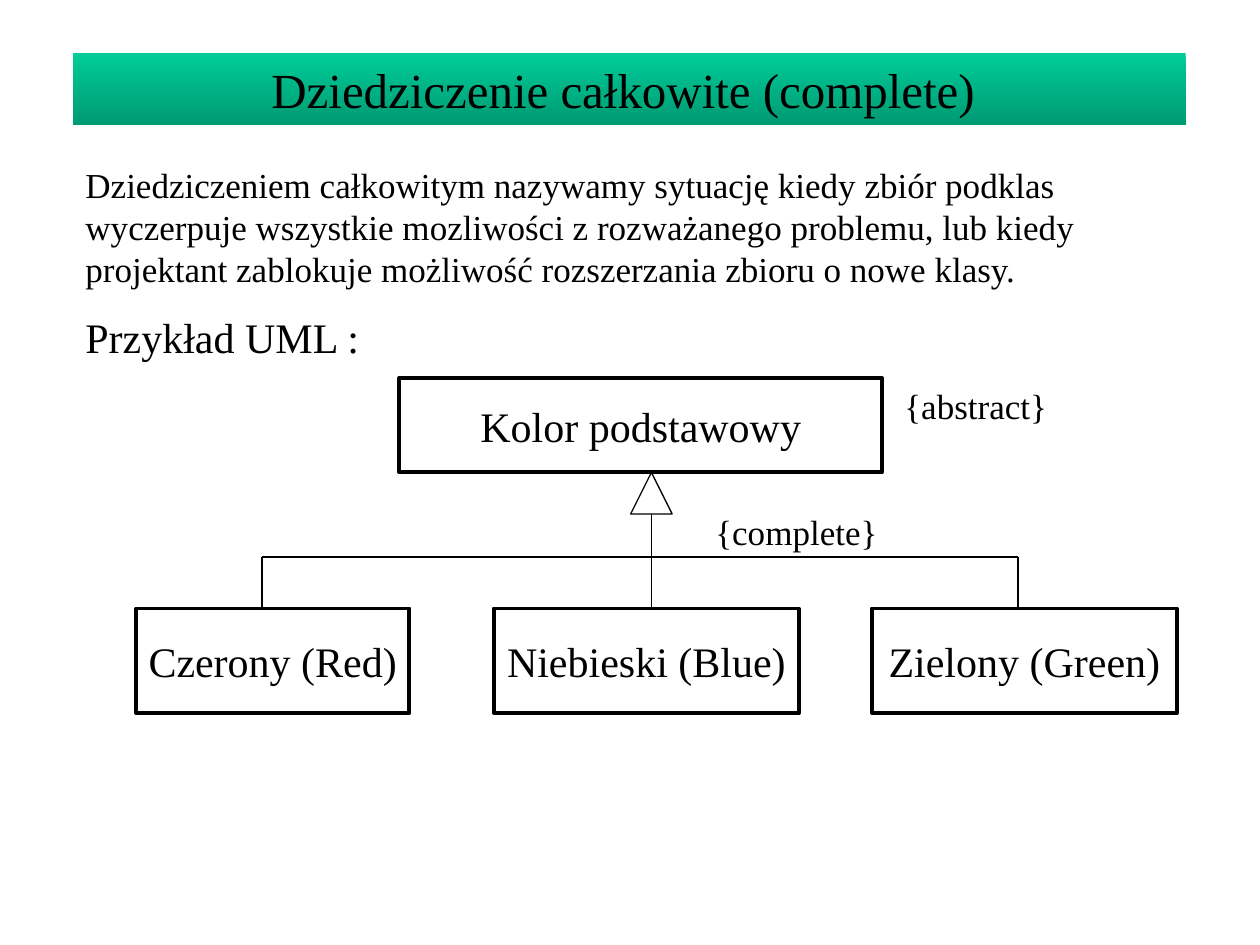
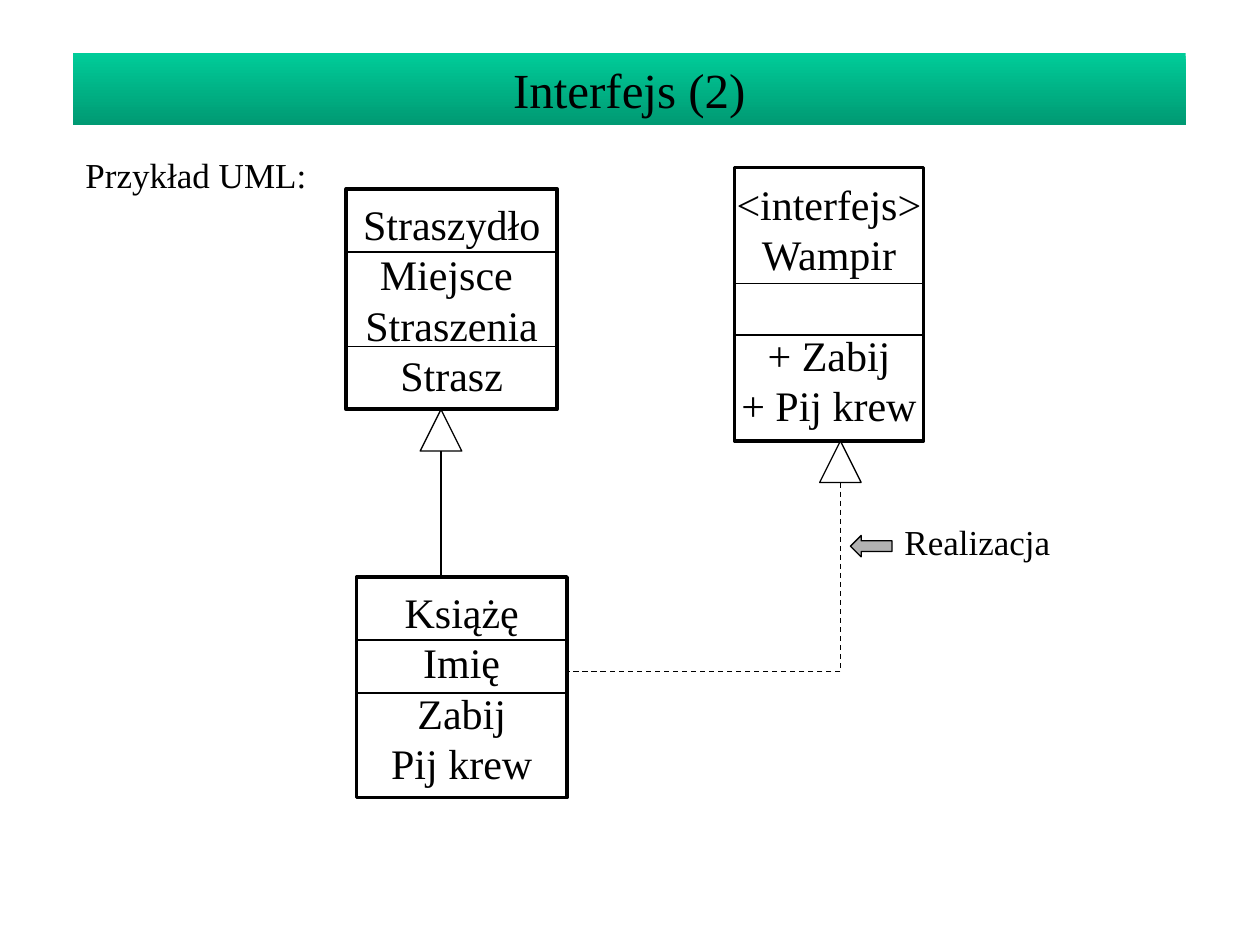
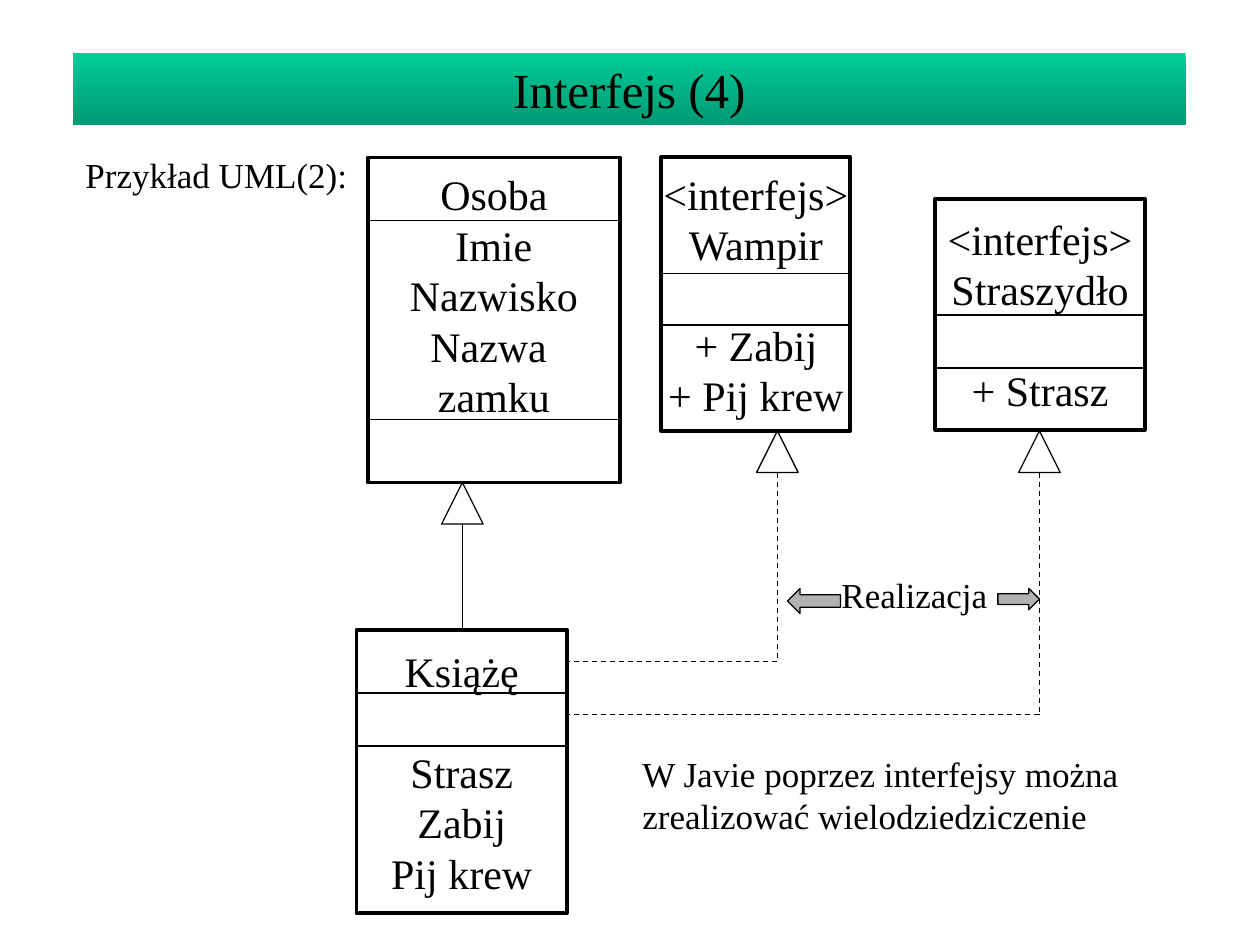
from itertools import pairwise

from pptx import Presentation
from pptx.dml.color import RGBColor
from pptx.enum.dml import MSO_LINE
from pptx.enum.shapes import MSO_CONNECTOR, MSO_SHAPE as Shape
from pptx.enum.text import MSO_ANCHOR, PP_ALIGN as Align
from pptx.oxml.ns import qn
from pptx.util import Inches, Pt
from lxml.etree import SubElement

BLACK = RGBColor(0x00, 0x00, 0x00)
WHITE = RGBColor(0xFF, 0xFF, 0xFF)
GREY = RGBColor(0xB2, 0xB2, 0xB2)
GREEN = RGBColor(0x00, 0xCC, 0x99)
DARK = RGBColor(0x00, 0x9A, 0x73)
FONT = "Times New Roman"
ROW = 0.4  # height of one empty row in a class box
TIP = 0.33  # side of an inheritance arrowhead


# Basic elements
def style(para, size, align=Align.LEFT):
    para.alignment = align
    para.font.name = FONT
    para.font.size = Pt(size)
    para.font.color.rgb = BLACK


def add_form(slide, kind, x, y, w, h, fill=WHITE, width=0.75):
    form = slide.shapes.add_shape(kind, Inches(x), Inches(y), Inches(w), Inches(h))
    form.shadow.inherit = False
    form.fill.solid()
    form.fill.fore_color.rgb = fill
    form.line.color.rgb = BLACK
    form.line.width = Pt(width)
    return form


def add_line(slide, start, end, dash=False):
    ends = [Inches(v) for v in (*start, *end)]
    line = slide.shapes.add_connector(MSO_CONNECTOR.STRAIGHT, *ends)
    line.line.color.rgb = BLACK
    line.line.width = Pt(0.75)
    if dash:
        line.line.dash_style = MSO_LINE.DASH
    SubElement(line._element.spPr, qn("a:effectLst"))


def add_note(slide, text, x, y, w, h=0.44, size=20):
    note = slide.shapes.add_textbox(Inches(x), Inches(y), Inches(w), Inches(h))
    frame = note.text_frame
    frame.word_wrap = True
    frame.text = text
    style(frame.paragraphs[0], size)


# UML elements
def add_class(slide, x, y, w, h, parts, rules=()):
    """Draw a class box; an empty part leaves one empty row."""
    frame = add_form(slide, Shape.RECTANGLE, x, y, w, h, width=2.25).text_frame
    frame.word_wrap = False
    frame.vertical_anchor = MSO_ANCHOR.MIDDLE
    para, gap = None, 0
    for part in parts:
        if not part:
            gap += ROW
        for text in part:
            para = frame.add_paragraph() if para else frame.paragraphs[0]
            para.text = text
            style(para, 24, Align.CENTER)
            if gap:
                para.space_before = Inches(gap)
                gap = 0
    frame.margin_bottom = Inches(0.05 + gap)
    for rule in rules:
        add_line(slide, (x, rule), (x + w, rule))


def add_parent(slide, x, y, *route, dash=False):
    """Draw an arrowhead with its tip at x, y and a line along the route."""
    add_form(slide, Shape.ISOSCELES_TRIANGLE, x - TIP / 2, y, TIP, TIP)
    for start, end in pairwise([(x, y + TIP), *route]):
        add_line(slide, start, end, dash)


def add_slide(deck, title):
    slide = deck.slides.add_slide(deck.slide_layouts[6])
    band = add_form(slide, Shape.RECTANGLE, 0.58, 0.42, 8.83, 0.57)
    band.line.fill.background()
    band.fill.gradient()
    band.fill.gradient_angle = 270
    for stop, color in zip(band.fill.gradient_stops, (GREEN, DARK)):
        stop.color.rgb = color
    frame = band.text_frame
    frame.word_wrap = True
    frame.vertical_anchor = MSO_ANCHOR.TOP
    frame.text = title
    style(frame.paragraphs[0], 28, Align.CENTER)
    return slide


# Slides
def draw_complete(deck):
    slide = add_slide(deck, "Dziedziczenie całkowite (complete) ")
    add_note(slide, "Dziedziczeniem całkowitym nazywamy sytuację kiedy zbiór podklas "
             "wyczerpuje wszystkie mozliwości z rozważanego problemu, lub kiedy "
             "projektant zablokuje możliwość rozszerzania zbioru o nowe klasy.",
             0.58, 1.25, 8.83, 1.1)
    add_note(slide, "Przykład UML :", 0.58, 2.42, 5.17, 0.5, 24)
    add_class(slide, 3.17, 3, 3.83, 0.75, [["Kolor podstawowy"]])

    bus, top = 4.42, 4.83
    colors = [
        ("Czerony (Red)", 1.08, 2.17, 2.08),
        ("Niebieski (Blue)", 3.92, 2.42, 5.17),
        ("Zielony (Green)", 6.92, 2.42, 8.08),
    ]
    for name, left, width, stem in colors:
        add_class(slide, left, top, width, 0.83, [[name]])
        add_line(slide, (stem, bus), (stem, top))
    add_line(slide, (2.08, bus), (8.08, bus))
    add_parent(slide, 5.17, 3.75, (5.17, bus))
    add_note(slide, "{complete}", 5.58, 4, 2.17)
    add_note(slide, "{abstract}", 7.08, 3, 2.08)


def add_vampire(slide, x, y):
    parts = [["<interfejs>", "Wampir"], [], ["+ Zabij", "+ Pij krew"]]
    add_class(slide, x, y, 1.5, 2.17, parts, (y + 0.92, y + 1.33))


def draw_single(deck):
    slide = add_slide(deck, "Interfejs (2)")
    add_note(slide, "Przykład UML:", 0.58, 1.17, 2.33)
    add_vampire(slide, 5.83, 1.33)
    add_class(slide, 2.75, 1.5, 1.67, 1.75,
              [["Straszydło"], ["Miejsce ", "Straszenia"], ["Strasz"]], (2, 2.75))
    add_class(slide, 2.83, 4.58, 1.67, 1.75,
              [["Książę"], ["Imię"], ["Zabij", "Pij krew"]], (5.08, 5.5))
    add_parent(slide, 3.5, 3.25, (3.5, 4.58))
    add_parent(slide, 6.67, 3.5, (6.67, 5.33), (4.5, 5.33), dash=True)
    add_note(slide, "Realizacja", 7.08, 4.08, 2)
    add_form(slide, Shape.LEFT_ARROW, 6.75, 4.25, 0.33, 0.17, GREY)


def draw_multiple(deck):
    slide = add_slide(deck, "Interfejs (4)")
    add_note(slide, "Przykład UML(2):", 0.58, 1.17, 2.33)
    add_vampire(slide, 5.25, 1.25)
    add_class(slide, 7.42, 1.58, 1.67, 1.83,
              [["<interfejs>", "Straszydło"], [], ["+ Strasz"]], (2.5, 2.92))
    add_class(slide, 2.83, 5, 1.67, 2.25,
              [["Książę"], [], ["Strasz", "Zabij", "Pij krew"]], (5.5, 5.92))
    add_class(slide, 2.92, 1.25, 2, 2.58,
              [["Osoba"], ["Imie", "Nazwisko", "Nazwa ", "zamku"], []], (1.75, 3.33))
    add_parent(slide, 3.67, 3.83, (3.67, 5))
    add_parent(slide, 6.17, 3.42, (6.17, 5.25), (4.5, 5.25), dash=True)
    add_parent(slide, 8.25, 3.42, (8.25, 5.67), (4.5, 5.67), dash=True)
    add_note(slide, "Realizacja", 6.58, 4.5, 2)
    add_form(slide, Shape.LEFT_ARROW, 6.25, 4.67, 0.42, 0.2, GREY)
    add_form(slide, Shape.RIGHT_ARROW, 7.92, 4.67, 0.33, 0.17, GREY)
    add_note(slide, "W Javie poprzez interfejsy można zrealizować wielodziedziczenie",
             5, 5.92, 4.17, 0.77)


def main():
    deck = Presentation()
    deck.slide_width, deck.slide_height = Inches(10), Inches(7.5)
    draw_complete(deck)
    draw_single(deck)
    draw_multiple(deck)
    deck.save("out.pptx")


if __name__ == "__main__":
    main()
